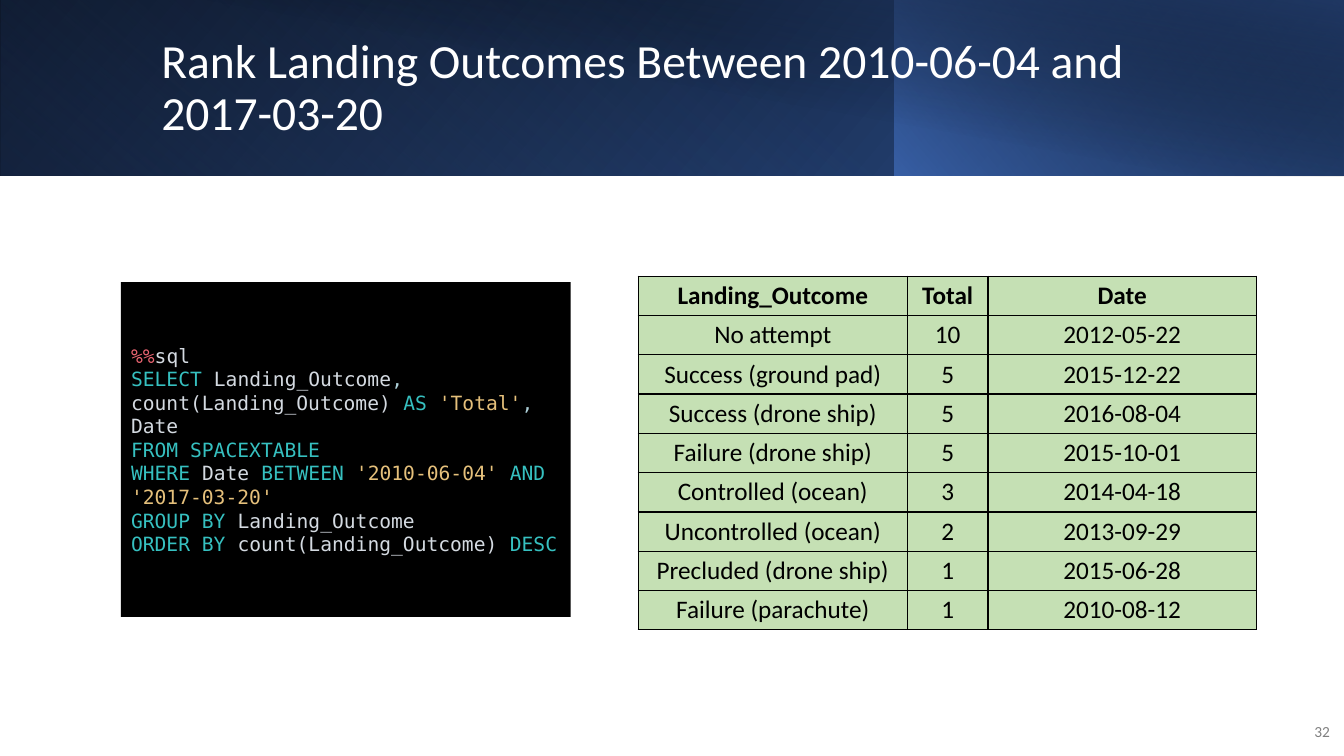
from dataclasses import dataclass

from lxml.etree import SubElement
from pptx import Presentation
from pptx.dml.color import RGBColor
from pptx.enum.shapes import MSO_SHAPE as Shape
from pptx.enum.text import MSO_ANCHOR as Anchor, MSO_AUTO_SIZE as AutoSize, PP_ALIGN as Align
from pptx.oxml.ns import qn
from pptx.util import Inches, Pt


@dataclass(frozen=True)
class Theme:
    font: str = "Calibri"
    mono: str = "DejaVu Sans Mono"
    title_size: int = 34
    table_size: int = 18
    code_size: int = 14
    code_leading: float = 16.8
    number_size: int = 11
    white: str = "FFFFFF"
    black: str = "000000"
    grey: str = "808080"
    navy: str = "203864"
    blue: str = "4472C4"
    deep_blue: str = "2F5597"
    green: str = "C5E0B4"
    magic: str = "EB6572"
    plain: str = "D4DAE1"
    keyword: str = "36C0C0"
    comma: str = "ACCFD7"
    string: str = "E5C07B"


THEME = Theme()

# Place, flip, rotation, angle and stops (position, colour, opacity) of each layer
BANDS = [
    ((0, 0, 13.33, 1.74), True, 0, 140, [(0, THEME.black, 100), (100, THEME.deep_blue, 100)]),
    ((0, 0, 8.88, 1.74), True, 180, 230, [(20, THEME.blue, 0), (100, THEME.navy, 55)]),
    ((8.87, 0, 4.46, 1.74), True, 0, 220, [(0, THEME.blue, 66), (100, THEME.black, 30)]),
    ((0.5, 0, 12.83, 1.75), False, 0, 280, [(50, THEME.black, 0), (99, THEME.navy, 52)]),
]

QUERY = [
    [("%%", THEME.magic), ("sql", THEME.plain)],
    [("SELECT ", THEME.keyword), ("Landing_Outcome", THEME.plain), (",", THEME.comma),
     (" count(Landing_Outcome) ", THEME.plain), ("AS ", THEME.keyword),
     ("'Total'", THEME.string), (",", THEME.comma), (" Date", THEME.plain)],
    [("FROM SPACEXTABLE", THEME.keyword)],
    [("WHERE", THEME.keyword), (" Date ", THEME.plain), ("BETWEEN ", THEME.keyword),
     ("'2010-06-04' ", THEME.string), ("AND ", THEME.keyword), ("'2017-03-20'", THEME.string)],
    [("GROUP BY ", THEME.keyword), ("Landing_Outcome", THEME.plain)],
    [("ORDER BY", THEME.keyword), (" count(Landing_Outcome) ", THEME.plain),
     ("DESC", THEME.keyword)],
]

COLUMN_WIDTHS = (2.67, 0.8, 2.66)
ROW_HEIGHT = 0.39
OUTCOMES = [
    ("Landing_Outcome", "Total", "Date"),
    ("No attempt", "10", "2012-05-22"),
    ("Success (ground pad)", "5", "2015-12-22"),
    ("Success (drone ship)", "5", "2016-08-04"),
    ("Failure (drone ship)", "5", "2015-10-01"),
    ("Controlled (ocean)", "3", "2014-04-18"),
    ("Uncontrolled (ocean)", "2", "2013-09-29"),
    ("Precluded (drone ship)", "1", "2015-06-28"),
    ("Failure (parachute)", "1", "2010-08-12"),
]


def style(span, font, size, color, bold=False):
    span.font.name = font
    span.font.size = Pt(size)
    span.font.bold = bold
    span.font.color.rgb = RGBColor.from_string(color)


def place(box, left, top, width, height):
    box.left, box.top = Inches(left), Inches(top)
    box.width, box.height = Inches(width), Inches(height)


def prepare_frame(box):
    frame = box.text_frame
    frame.word_wrap = True
    frame.auto_size = AutoSize.NONE
    frame.vertical_anchor = Anchor.MIDDLE
    return frame


def add_band(page, bounds, flipped, rotation, angle, stops):
    """Add a gradient layer behind the title."""
    band = page.shapes.add_shape(Shape.RECTANGLE, *map(Inches, bounds))
    band.shadow.inherit = False
    band.line.fill.background()
    band.rotation = rotation
    properties = band.element.spPr
    if flipped:
        properties.find(qn("a:xfrm")).set("flipH", "1")
    band.fill.gradient()
    gradient = properties.find(qn("a:gradFill"))
    for child in list(gradient):
        gradient.remove(child)
    gradient.set("rotWithShape", "1")
    stop_list = SubElement(gradient, qn("a:gsLst"))
    for position, color, opacity in stops:
        stop = SubElement(stop_list, qn("a:gs"), pos=str(position * 1000))
        tint = SubElement(stop, qn("a:srgbClr"), val=color)
        SubElement(tint, qn("a:alpha"), val=str(opacity * 1000))
    SubElement(gradient, qn("a:lin"), ang=str(angle * 60000), scaled="0")
    page.shapes.title.element.addprevious(band.element)


def fill_title(page, text):
    title = page.shapes.title
    place(title, 1.5, 0.32, 10.82, 1.13)
    frame = prepare_frame(title)
    frame.text = text
    para = frame.paragraphs[0]
    para.alignment = Align.LEFT
    para.line_spacing = 0.9
    style(para.runs[0], THEME.font, THEME.title_size, THEME.white)


def fill_code(box, lines):
    place(box, 1.2, 2.8, 4.46, 3.32)
    box.fill.solid()
    box.fill.fore_color.rgb = RGBColor.from_string(THEME.black)
    frame = prepare_frame(box)
    frame.text = "\n".join("" for _ in lines)
    for para, spans in zip(frame.paragraphs, lines):
        para.space_before = Pt(0)
        para.line_spacing = Pt(THEME.code_leading)
        layout = para._p.get_or_add_pPr()
        layout.set("marL", "0")
        layout.set("indent", "0")
        SubElement(layout, qn("a:buNone"))
        for text, color in spans:
            span = para.add_run()
            span.text = text
            style(span, THEME.mono, THEME.code_size, color)


def add_borders(cell):
    properties = cell._tc.get_or_add_tcPr()
    for side in ("lnL", "lnR", "lnT", "lnB"):
        line = SubElement(properties, qn(f"a:{side}"), w=str(Pt(1)))
        fill = SubElement(line, qn("a:solidFill"))
        SubElement(fill, qn("a:srgbClr"), val=THEME.black)


def fill_cell(cell, text, bold):
    cell.margin_left = cell.margin_right = Inches(0.08)
    cell.margin_top = cell.margin_bottom = Inches(0.04)
    cell.vertical_anchor = Anchor.MIDDLE
    add_borders(cell)
    cell.fill.solid()
    cell.fill.fore_color.rgb = RGBColor.from_string(THEME.green)
    cell.text_frame.text = text
    para = cell.text_frame.paragraphs[0]
    para.alignment = Align.CENTER
    style(para.runs[0], THEME.font, THEME.table_size, THEME.black, bold)


def add_outcome_table(page, left, top):
    size = Inches(sum(COLUMN_WIDTHS)), Inches(ROW_HEIGHT * len(OUTCOMES))
    table = page.shapes.add_table(len(OUTCOMES), len(COLUMN_WIDTHS),
                                  Inches(left), Inches(top), *size).table
    table.horz_banding = False
    for column, width in zip(table.columns, COLUMN_WIDTHS):
        column.width = Inches(width)
    for index, (row, values) in enumerate(zip(table.rows, OUTCOMES)):
        row.height = Inches(ROW_HEIGHT)
        for cell, text in zip(row.cells, values):
            fill_cell(cell, text, bold=index == 0)


def add_page_number(page, number):
    box = page.shapes.add_textbox(Inches(12.8), Inches(7.06), Inches(0.49), Inches(0.4))
    frame = prepare_frame(box)
    frame.text = number
    para = frame.paragraphs[0]
    para.alignment = Align.RIGHT
    style(para.runs[0], THEME.font, THEME.number_size, THEME.grey)


def main():
    deck = Presentation()
    deck.slide_width, deck.slide_height = Inches(13.33), Inches(7.5)
    page = deck.slides.add_slide(deck.slide_layouts[1])
    for band in BANDS:
        add_band(page, *band)
    fill_title(page, "Rank Landing Outcomes Between 2010-06-04 and 2017-03-20")
    fill_code(page.placeholders[1], QUERY)
    add_page_number(page, "32")
    add_outcome_table(page, 6.33, 2.74)
    deck.save("out.pptx")


if __name__ == "__main__":
    main()
